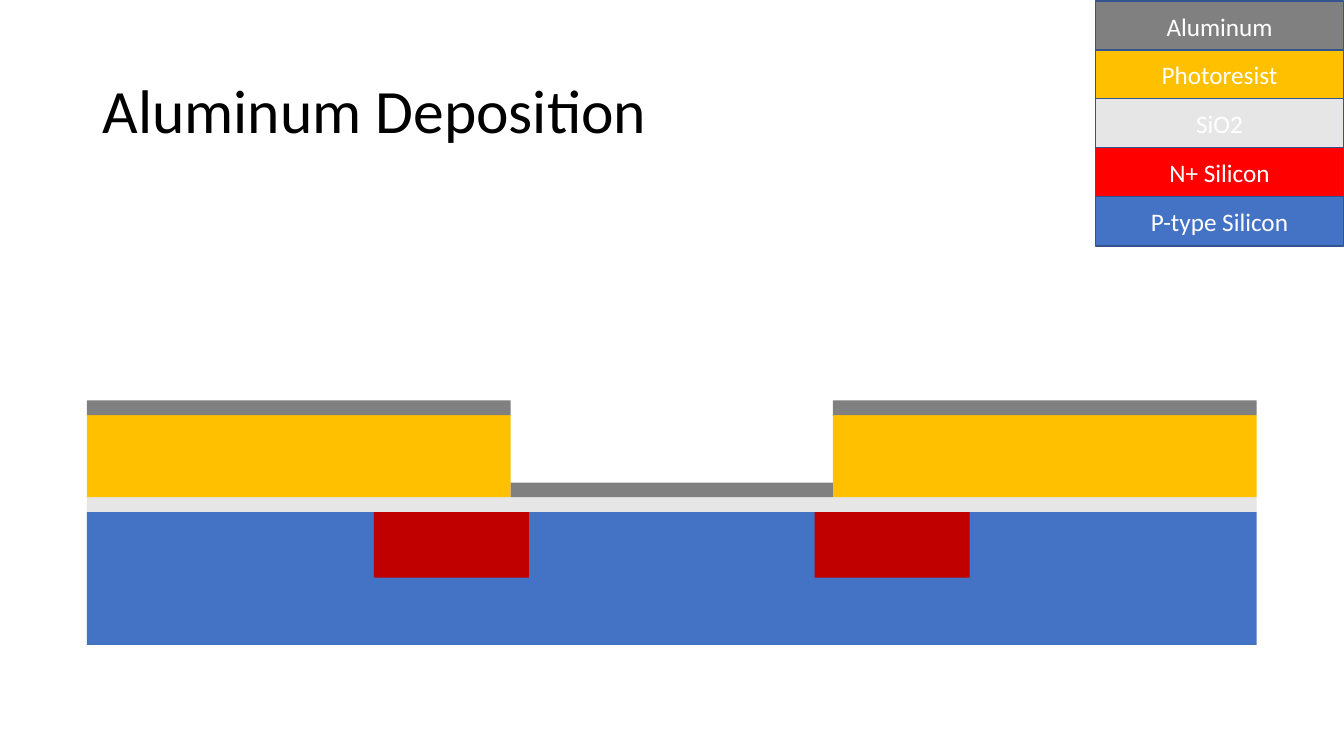
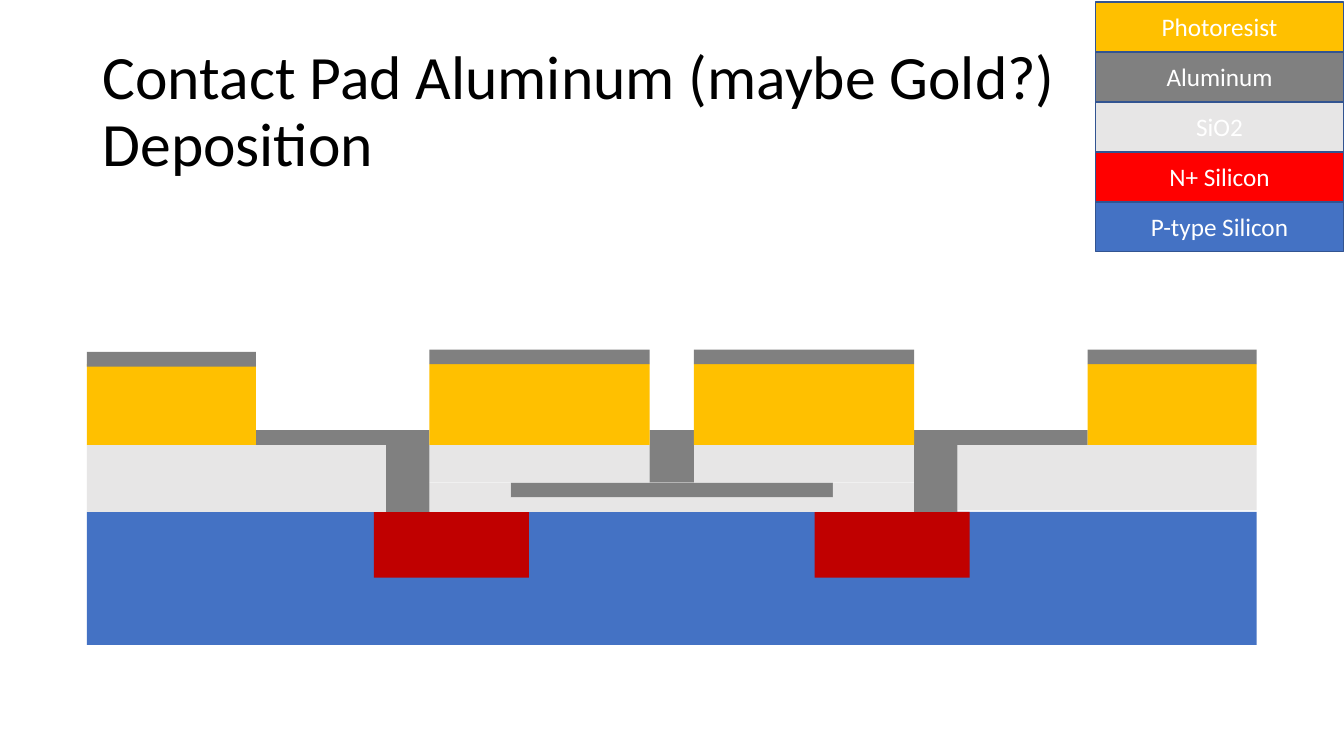
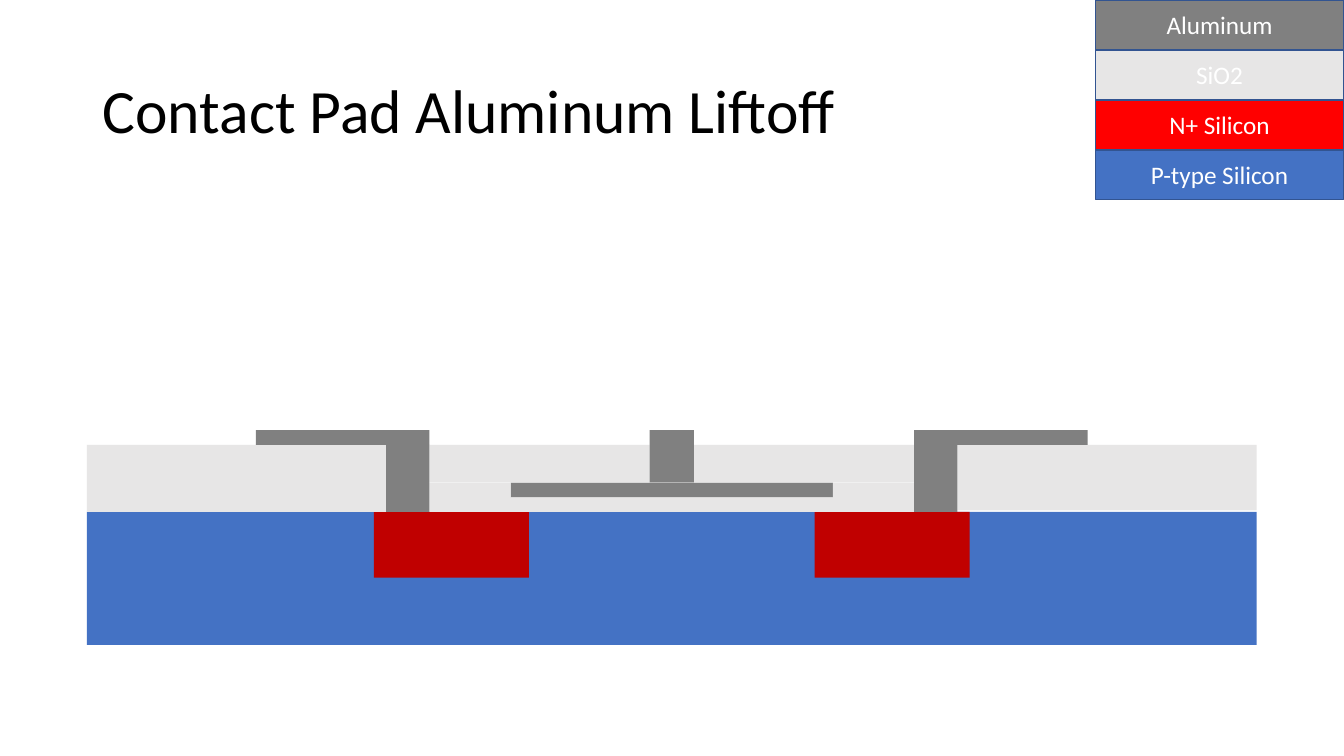
import pptx
import pptx.util
import pptx.dml.color
import pptx.enum.shapes
import pptx.enum.text

Cm = pptx.util.Cm
Rgb = pptx.dml.color.RGBColor.from_string
Align = pptx.enum.text.PP_ALIGN


class Theme:
    font = "Calibri"
    head = pptx.util.Pt(44)
    label = pptx.util.Pt(18)
    rim = pptx.util.Pt(1)
    black = Rgb("000000")
    white = Rgb("FFFFFF")
    edge = Rgb("325491")
    metal = Rgb("808080")
    resist = Rgb("FFC000")
    oxide = Rgb("E7E6E6")
    doped = Rgb("FF0000")
    well = Rgb("C00000")
    base = Rgb("4472C4")


wide, high = 33.87, 19.05
left, right = 2.19, 31.67
film = 0.37

keys = {
    "Aluminum": Theme.metal,
    "Photoresist": Theme.resist,
    "SiO2": Theme.oxide,
    "N+ Silicon": Theme.doped,
    "P-type Silicon": Theme.base,
}

# Rows: colour, left, top, right, bottom, mirrored
wafer = [
    (Theme.base, left, 12.9, right, 16.25, False),
    (Theme.well, 9.42, 12.9, 13.33, 14.56, True),
]
first = [
    (Theme.oxide, left, 12.53, right, 12.9, False),
    (Theme.resist, left, 10.46, 12.87, 12.53, True),
    (Theme.metal, left, 10.46 - film, 12.87, 10.46, True),
    (Theme.metal, 12.87, 12.53 - film, 20.99, 12.53, False),
]
pads = [
    (Theme.oxide, 10.82, 12.53, 23.04, 12.9, False),
    (Theme.metal, 12.87, 12.16, 20.99, 12.53, False),
    (Theme.oxide, 10.82, 11.21, 16.37, 12.16, True),
    (Theme.oxide, 10.82, 12.16, 12.87, 12.53, True),
    (Theme.oxide, left, 11.21, 9.73, 12.9, False),
    (Theme.oxide, 24.13, 11.21, right, 12.86, False),
    (Theme.metal, 9.73, 11.21, 10.82, 12.9, True),
    (Theme.metal, 16.37, 10.84, 17.49, 12.16, False),
    (Theme.metal, 6.45, 10.84, 10.82, 11.21, True),
]
mask = [
    (Theme.resist, left, 9.17, 6.45, 11.21, True),
    (Theme.resist, 10.82, 9.17, 16.37, 11.21, True),
    (Theme.metal, 10.82, 8.81, 16.37, 8.81 + film, True),
    (Theme.metal, left, 8.87, 6.45, 8.87 + film, False),
    (Theme.metal, 27.41, 8.81, right, 8.81 + film, False),
]

steps = [
    ("Aluminum Deposition", wafer + first, 0.03, 1.23,
     ["Aluminum", "Photoresist", "SiO2", "N+ Silicon", "P-type Silicon"]),
    ("Contact Pad Aluminum (maybe Gold?) Deposition", wafer + pads + mask, 0.05, 1.26,
     ["Photoresist", "Aluminum", "SiO2", "N+ Silicon", "P-type Silicon"]),
    ("Contact Pad Aluminum Liftoff", wafer + pads, 0, 1.26,
     ["Aluminum", "SiO2", "N+ Silicon", "P-type Silicon"]),
]


def block(slide, tint, x, y, w, h):
    box = slide.shapes.add_shape(
        pptx.enum.shapes.MSO_SHAPE.RECTANGLE, Cm(x), Cm(y), Cm(w), Cm(h))
    box.shadow.inherit = False
    box.fill.solid()
    box.fill.fore_color.rgb = tint
    box.line.fill.background()
    return box


def style(shape, text, size, tint, align, space):
    frame = shape.text_frame
    frame.text = text
    line = frame.paragraphs[0]
    looks = [
        (frame, {"word_wrap": True,
                 "auto_size": pptx.enum.text.MSO_AUTO_SIZE.NONE,
                 "vertical_anchor": pptx.enum.text.MSO_ANCHOR.MIDDLE}),
        (line, {"alignment": align, "line_spacing": space}),
        (line.runs[0].font, {"name": Theme.font, "size": size}),
        (line.runs[0].font.color, {"rgb": tint}),
    ]
    for item, values in looks:
        for name, value in values.items():
            setattr(item, name, value)


deck = pptx.Presentation()
deck.slide_width, deck.slide_height = Cm(wide), Cm(high)

for title, parts, start, pitch, names in steps:
    slide = deck.slides.add_slide(deck.slide_layouts[5])
    head = slide.shapes.title
    place = {"left": 2.33, "top": 1.01, "width": 29.21, "height": 3.68}
    for name, value in place.items():
        setattr(head, name, Cm(value))
    style(head, title, Theme.head, Theme.black, Align.LEFT, 0.9)

    for tint, x, y, end, foot, twin in parts:
        spots = [x, left + right - end] if twin else [x]
        for spot in spots:
            block(slide, tint, spot, y, end - x, foot - y)

    for row, name in enumerate(names):
        key = block(slide, keys[name], 27.61, start + row * pitch, 6.25, 1.25)
        key.line.color.rgb = Theme.edge
        key.line.width = Theme.rim
        style(key, name, Theme.label, Theme.white, Align.CENTER, 1.0)

deck.save("out.pptx")
